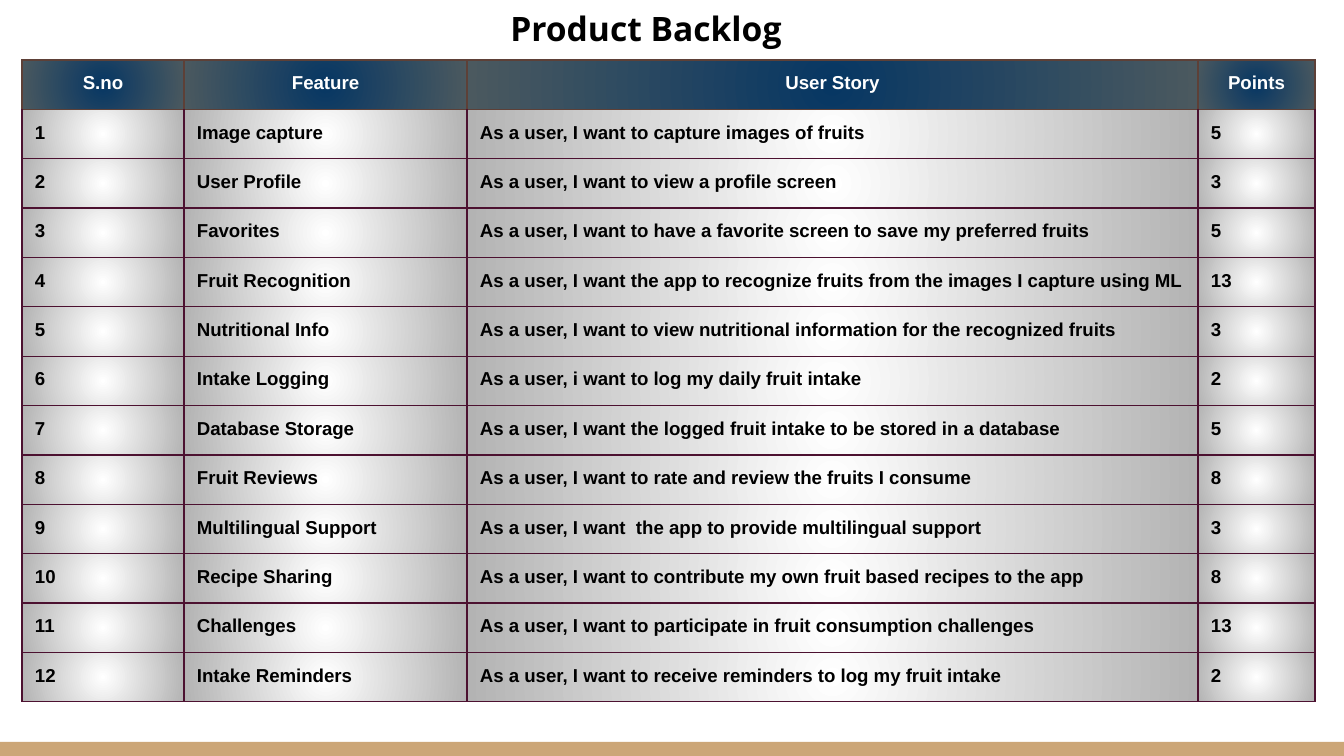
from dataclasses import dataclass

from pptx import Presentation
from pptx.dml.color import RGBColor
from pptx.enum.shapes import MSO_SHAPE
from pptx.enum.text import MSO_ANCHOR, PP_ALIGN
from pptx.oxml import parse_xml
from pptx.oxml.ns import nsdecls
from pptx.util import Emu, Pt

RECTANGLE = MSO_SHAPE.RECTANGLE
TOP = MSO_ANCHOR.TOP
LEFT, CENTER = PP_ALIGN.LEFT, PP_ALIGN.CENTER

SLIDE_WIDTH, SLIDE_HEIGHT = 1344, 756
EMU_PER_PX = 9144000 / SLIDE_WIDTH
INSET = 13
BORDER_WIDTH = Pt(0.75)

COLORS = {
    "black": "000000",
    "white": "FFFFFF",
    "tan": "CCA677",
    "navy": "073763",
    "slate": "4B595F",
    "gray": "B3B3B3",
    "brown": "5D4037",
    "plum": "4C1130",
}


@dataclass(frozen=True)
class Area:
    left: int
    top: int
    width: int
    height: int


@dataclass(frozen=True)
class TextStyle:
    font: str
    size: int
    color: str
    align: PP_ALIGN


@dataclass(frozen=True)
class CellStyle:
    text: TextStyle
    inner: str
    outer: str
    border: str


@dataclass(frozen=True)
class Story:
    feature: str
    text: str
    points: int


TITLE_STYLE = TextStyle("Open Sans", 18, "black", CENTER)
HEADER_STYLE = CellStyle(TextStyle("Arial", 10, "white", CENTER), "navy", "slate", "brown")
BODY_STYLE = CellStyle(TextStyle("Arial", 10, "black", LEFT), "white", "gray", "plum")

TITLE_AREA = Area(474, -5, 344, 81)
TABLE_AREA = Area(22, 60, 1293, 642)
FOOTER_AREA = Area(0, 742, SLIDE_WIDTH, 14)
COLUMN_WIDTHS = (162, 283, 731, 117)
HEADERS = ("S.no", "Feature", "User Story", "Points")
STORIES = (
    Story("Image capture", "I want to capture images of fruits", 5),
    Story("User Profile", "I want to view a profile screen", 3),
    Story("Favorites", "I want to have a favorite screen to save my preferred fruits", 5),
    Story("Fruit Recognition", "I want the app to recognize fruits from the images I capture using ML", 13),
    Story("Nutritional Info", "I want to view nutritional information for the recognized fruits", 3),
    Story("Intake Logging", "i want to log my daily fruit intake", 2),
    Story("Database Storage", "I want the logged fruit intake to be stored in a database", 5),
    Story("Fruit Reviews", "I want to rate and review the fruits I consume", 8),
    Story("Multilingual Support", "I want  the app to provide multilingual support", 3),
    Story("Recipe Sharing", "I want to contribute my own fruit based recipes to the app", 8),
    Story("Challenges", "I want to participate in fruit consumption challenges", 13),
    Story("Intake Reminders", "I want to receive reminders to log my fruit intake", 2),
)


def px(length: float) -> Emu:
    return Emu(round(length * EMU_PER_PX))


def place(area: Area) -> tuple[Emu, ...]:
    return tuple(px(side) for side in (area.left, area.top, area.width, area.height))


def write_text(frame, text: str, style: TextStyle) -> None:
    frame.word_wrap = True
    para = frame.paragraphs[0]
    para.alignment = style.align
    span = para.add_run()
    span.text = text
    font_values = {"name": style.font, "size": Pt(style.size), "bold": True}
    for name, value in font_values.items():
        setattr(span.font, name, value)
    span.font.color.rgb = RGBColor.from_string(COLORS[style.color])


def set_insets(target) -> None:
    for side in ("left", "right", "top", "bottom"):
        setattr(target, f"margin_{side}", px(INSET))


def add_border(properties, side: str, color: str) -> None:
    properties.append(parse_xml(
        f'<a:ln{side} {nsdecls("a")} w="{BORDER_WIDTH}"><a:solidFill>'
        f'<a:srgbClr val="{COLORS[color]}"/></a:solidFill></a:ln{side}>'
    ))


def add_radial_fill(properties, inner: str, outer: str) -> None:
    properties.append(parse_xml(
        f'<a:gradFill {nsdecls("a")}><a:gsLst>'
        f'<a:gs pos="0"><a:srgbClr val="{COLORS[inner]}"/></a:gs>'
        f'<a:gs pos="100000"><a:srgbClr val="{COLORS[outer]}"/></a:gs>'
        '</a:gsLst><a:path path="circle">'
        '<a:fillToRect l="50000" t="50000" r="50000" b="50000"/>'
        '</a:path></a:gradFill>'
    ))


def draw_cell(cell, text: str, style: CellStyle, top_border: str) -> None:
    set_insets(cell)
    cell.vertical_anchor = TOP
    write_text(cell.text_frame, text, style.text)
    properties = cell._tc.get_or_add_tcPr()
    for side in "LRTB":
        add_border(properties, side, top_border if side == "T" else style.border)
    add_radial_fill(properties, style.inner, style.outer)


def draw_backlog(page) -> None:
    rows = [HEADERS] + [
        (str(number), story.feature, f"As a user, {story.text}", str(story.points))
        for number, story in enumerate(STORIES, 1)
    ]
    table = page.shapes.add_table(len(rows), len(HEADERS), *place(TABLE_AREA)).table
    table.horz_banding = False
    for column, width in zip(table.columns, COLUMN_WIDTHS):
        column.width = px(width)
    for index, texts in enumerate(rows):
        table.rows[index].height = px(TABLE_AREA.height / len(rows))
        style = BODY_STYLE if index else HEADER_STYLE
        top_border = style.border if index > 1 else HEADER_STYLE.border
        for cell, text in zip(table.rows[index].cells, texts):
            draw_cell(cell, text, style, top_border)


def draw_title(page) -> None:
    box = page.shapes.add_textbox(*place(TITLE_AREA))
    set_insets(box.text_frame)
    box.text_frame.vertical_anchor = TOP
    write_text(box.text_frame, "Product Backlog", TITLE_STYLE)


def draw_footer(page) -> None:
    bar = page.shapes.add_shape(RECTANGLE, *place(FOOTER_AREA))
    bar.shadow.inherit = False
    bar.fill.solid()
    bar.fill.fore_color.rgb = RGBColor.from_string(COLORS["tan"])
    bar.line.fill.background()


def main() -> None:
    deck = Presentation()
    deck.slide_width, deck.slide_height = px(SLIDE_WIDTH), px(SLIDE_HEIGHT)
    page = deck.slides.add_slide(deck.slide_layouts[6])
    draw_footer(page)
    draw_backlog(page)
    draw_title(page)
    deck.save("out.pptx")


if __name__ == "__main__":
    main()
